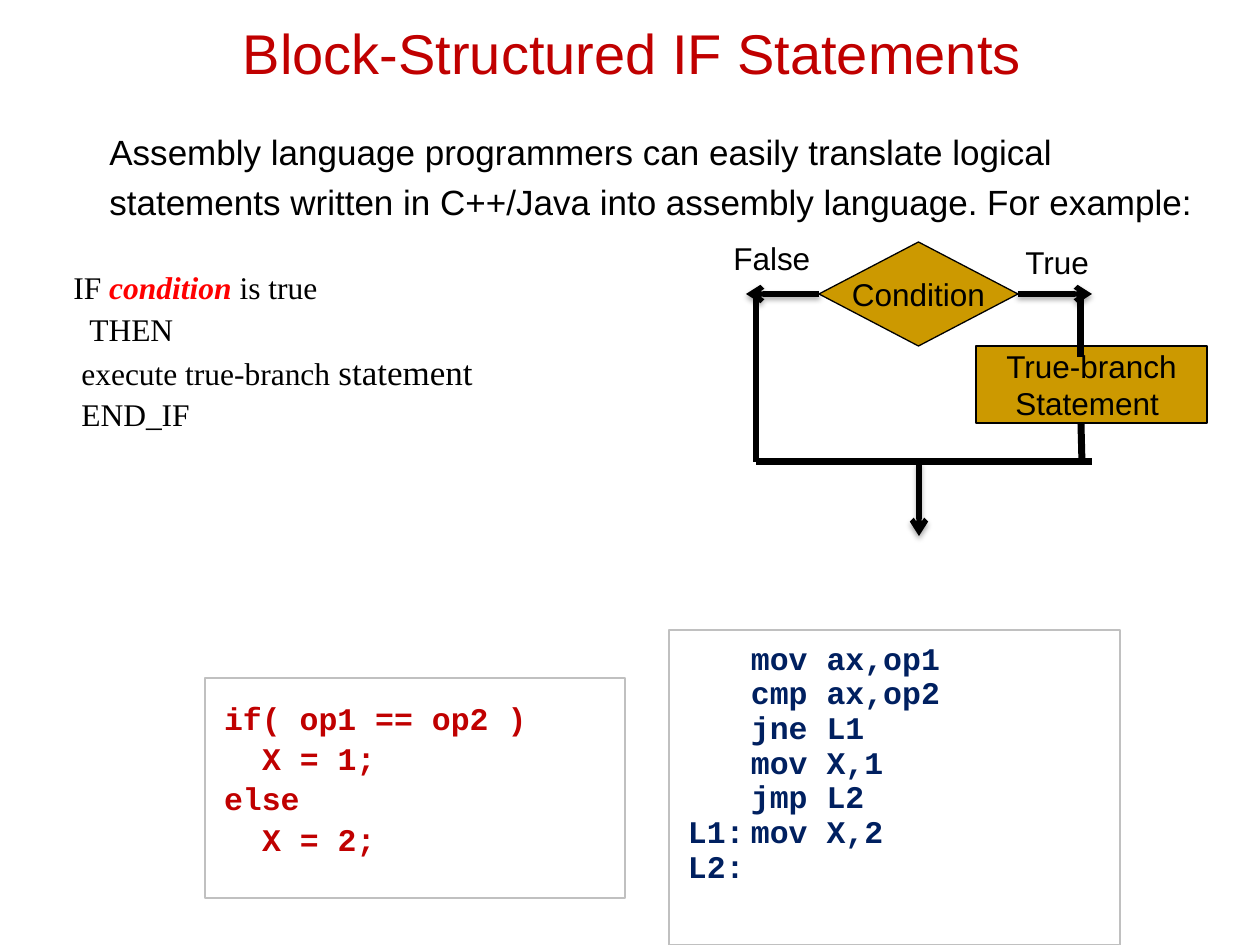
from lxml.etree import SubElement
from pptx import Presentation
from pptx.dml.color import RGBColor
from pptx.enum.shapes import MSO_CONNECTOR, MSO_SHAPE
from pptx.enum.text import MSO_ANCHOR, MSO_AUTO_SIZE, PP_ALIGN
from pptx.oxml.ns import qn
from pptx.util import Emu, Pt

COLORS = {"black": "000000", "red": "C00000", "bright_red": "FF0000",
          "navy": "002060", "gold": "CC9900", "gray": "C0C0C0"}
EMU_PER_PX = 914400 / 126
SLIDE_SIZE = (1260, 945)

# A paragraph is (indent in px, runs); a run is (text, format changes).
TITLE = [(0, [("Block-Structured IF Statements", {})])]
INTRO = [(0, [("Assembly language programmers can easily translate logical statements "
               "written in C++/Java into assembly language. For example:", {})])]
IF_LINE = [(8, [("IF ", {}),
                ("condition", {"color": "bright_red", "bold": True, "italic": True}),
                (" is true", {})])]
THEN_LINES = [(24, [("THEN", {})]),
              (16, [("execute true-branch ", {}), ("statement", {"size": 20})]),
              (16, [("END_IF", {})])]
SOURCE_CODE = [(indent, [(line, {})]) for indent, line in
               [(0, "if( op1 == op2 )"), (38, "X = 1;"), (0, "else"), (38, "X = 2;")]]
ASSEMBLY_CODE = [(indent, [(line, {})]) for indent, line in
                 [(63, "mov ax,op1"), (63, "cmp ax,op2"), (63, "jne L1"), (63, "mov X,1"),
                  (63, "jmp L2"), (0, "L1:\tmov X,2"), (0, "L2:")]]
BRANCH = [(0, [("True-branch", {})]), (0, [("Statement ", {})])]
CONDITION = [(0, [("Condition", {})])]
LABELS = [("True", (1013, 237, 136, 50)), ("False", (721, 233, 116, 50))]

BRANCH_LEVEL, MERGE_LEVEL = 294, 462
FALSE_X, TRUE_X, EXIT_X, RIGHT_END = 756, 1081, 919, 1092
ARROWS = [((1018, BRANCH_LEVEL), (RIGHT_END, BRANCH_LEVEL), 3),
          ((819, BRANCH_LEVEL), (746, BRANCH_LEVEL), 1),
          ((EXIT_X, MERGE_LEVEL), (EXIT_X, 536), None)]
PLAIN_LINES = [((TRUE_X, BRANCH_LEVEL), (TRUE_X, 357)),
               ((FALSE_X, BRANCH_LEVEL), (FALSE_X, MERGE_LEVEL)),
               ((RIGHT_END, MERGE_LEVEL), (FALSE_X, MERGE_LEVEL)),
               ((TRUE_X, 423), (TRUE_X + 1, MERGE_LEVEL))]


def px(value):
    return Emu(round(value * EMU_PER_PX))


def rgb(name):
    return RGBColor.from_string(COLORS[name])


def write(frame, paragraphs, *, font="Arial", size=18, color="black", bold=False, line=1.0,
          before=0, align=PP_ALIGN.LEFT, tab=None, append=False):
    """Fill a text frame; before is the space above as a percentage of a line."""
    for number, (indent, runs) in enumerate(paragraphs):
        paragraph = frame.add_paragraph() if number or append else frame.paragraphs[0]
        paragraph.alignment = align
        paragraph.line_spacing = line
        properties = paragraph._p.get_or_add_pPr()
        properties.set("marL", str(px(indent)))
        properties.set("indent", "0")
        space = SubElement(properties, qn("a:spcBef"))
        SubElement(space, qn("a:spcPct"), val=str(before * 1000))
        if tab:
            tabs = SubElement(properties, qn("a:tabLst"))
            SubElement(tabs, qn("a:tab"), pos=str(px(tab)), algn="l")
        for text, changes in runs:
            style = {"size": size, "color": color, "bold": bold, "italic": False, **changes}
            run = paragraph.add_run()
            run.text = text
            run.font.name = font
            run.font.size = Pt(style["size"])
            run.font.color.rgb = rgb(style["color"])
            run.font.bold = style["bold"]
            run.font.italic = style["italic"]


def add_text(slide, box, paragraphs, *, anchor=MSO_ANCHOR.TOP, grow=False, **style):
    frame = slide.shapes.add_textbox(*map(px, box)).text_frame
    frame.word_wrap = True
    frame.vertical_anchor = anchor
    if grow:
        frame.auto_size = MSO_AUTO_SIZE.SHAPE_TO_FIT_TEXT
    write(frame, paragraphs, **style)
    return frame


def add_box(slide, kind, box, paragraphs, *, outline, fill=None, wrap=True,
            anchor=MSO_ANCHOR.TOP, insets=None, **style):
    shape = slide.shapes.add_shape(kind, *map(px, box))
    shape.shadow.inherit = False
    if fill:
        shape.fill.solid()
        shape.fill.fore_color.rgb = rgb(fill)
    else:
        shape.fill.background()
    shape.line.color.rgb = rgb(outline)
    shape.line.width = Pt(0.75)
    frame = shape.text_frame
    frame.word_wrap = wrap
    frame.vertical_anchor = anchor
    if insets:
        side, top = map(px, insets)
        frame.margin_left = frame.margin_right = side
        frame.margin_top = frame.margin_bottom = top
    write(frame, paragraphs, **style)
    return shape


def add_line(slide, start, end, *, width, arrow=False):
    """Draw a straight line; an arrow also gets a soft shadow."""
    line = slide.shapes.add_connector(MSO_CONNECTOR.STRAIGHT, *map(px, start + end))
    line.line.color.rgb = rgb("black")
    line.line.width = Pt(width)
    properties = line._element.spPr
    effects = SubElement(properties, qn("a:effectLst"))
    if arrow:
        SubElement(line.line._get_or_add_ln(), qn("a:tailEnd"), type="arrow")
        shadow = SubElement(effects, qn("a:outerShdw"), blurRad=str(Pt(3.1)),
                            dist=str(Pt(1.8)), dir="5400000", rotWithShape="0")
        color = SubElement(shadow, qn("a:srgbClr"), val=COLORS["black"])
        SubElement(color, qn("a:alpha"), val="35000")
    return line


def main():
    presentation = Presentation()
    presentation.slide_width, presentation.slide_height = map(px, SLIDE_SIZE)
    slide = presentation.slides.add_slide(presentation.slide_layouts[6])

    add_text(slide, (97, 10, 1071, 84), TITLE, size=32, color="red",
             anchor=MSO_ANCHOR.MIDDLE, align=PP_ALIGN.CENTER)
    add_text(slide, (97, 116, 1144, 179), INTRO, size=20, line=1.2, before=20)

    code = {"outline": "gray", "insets": (19, 25), "font": "Courier New", "bold": True}
    add_box(slide, MSO_SHAPE.RECTANGLE, (669, 630, 451, 315), ASSEMBLY_CODE,
            color="navy", line=0.5, before=50, tab=63, **code)
    add_box(slide, MSO_SHAPE.RECTANGLE, (205, 678, 420, 220), SOURCE_CODE,
            color="red", line=0.9, before=20, **code)

    node = {"outline": "black", "fill": "gold", "wrap": False,
            "anchor": MSO_ANCHOR.MIDDLE, "align": PP_ALIGN.CENTER}
    add_box(slide, MSO_SHAPE.FLOWCHART_PROCESS, (976, 346, 231, 77), BRANCH, **node)
    decision = add_box(slide, MSO_SHAPE.FLOWCHART_DECISION, (819, 242, 199, 104),
                       CONDITION, **node)
    for start, end, site in ARROWS:
        arrow = add_line(slide, start, end, width=3, arrow=True)
        if site is not None:
            arrow.begin_connect(decision, site)
    for start, end in PLAIN_LINES:
        add_line(slide, start, end, width=4)

    pseudocode = {"font": "Times New Roman", "before": 50}
    frame = add_text(slide, (53, 262, 616, 188), IF_LINE, grow=True, **pseudocode)
    write(frame, THEN_LINES, line=0.65, append=True, **pseudocode)
    for text, box in LABELS:
        add_text(slide, box, [(0, [(text, {})])], grow=True, before=50)

    presentation.save("out.pptx")


if __name__ == "__main__":
    main()
